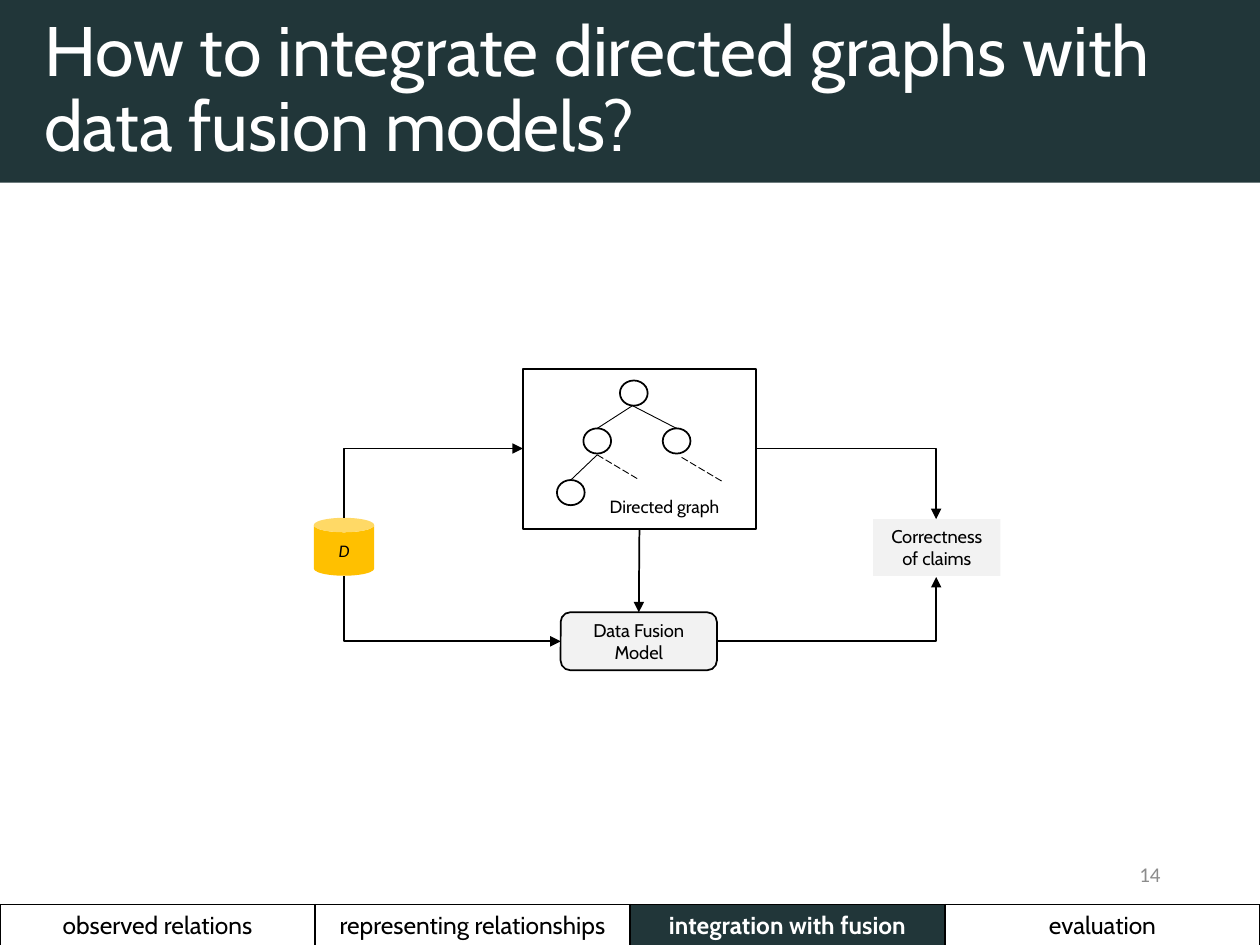
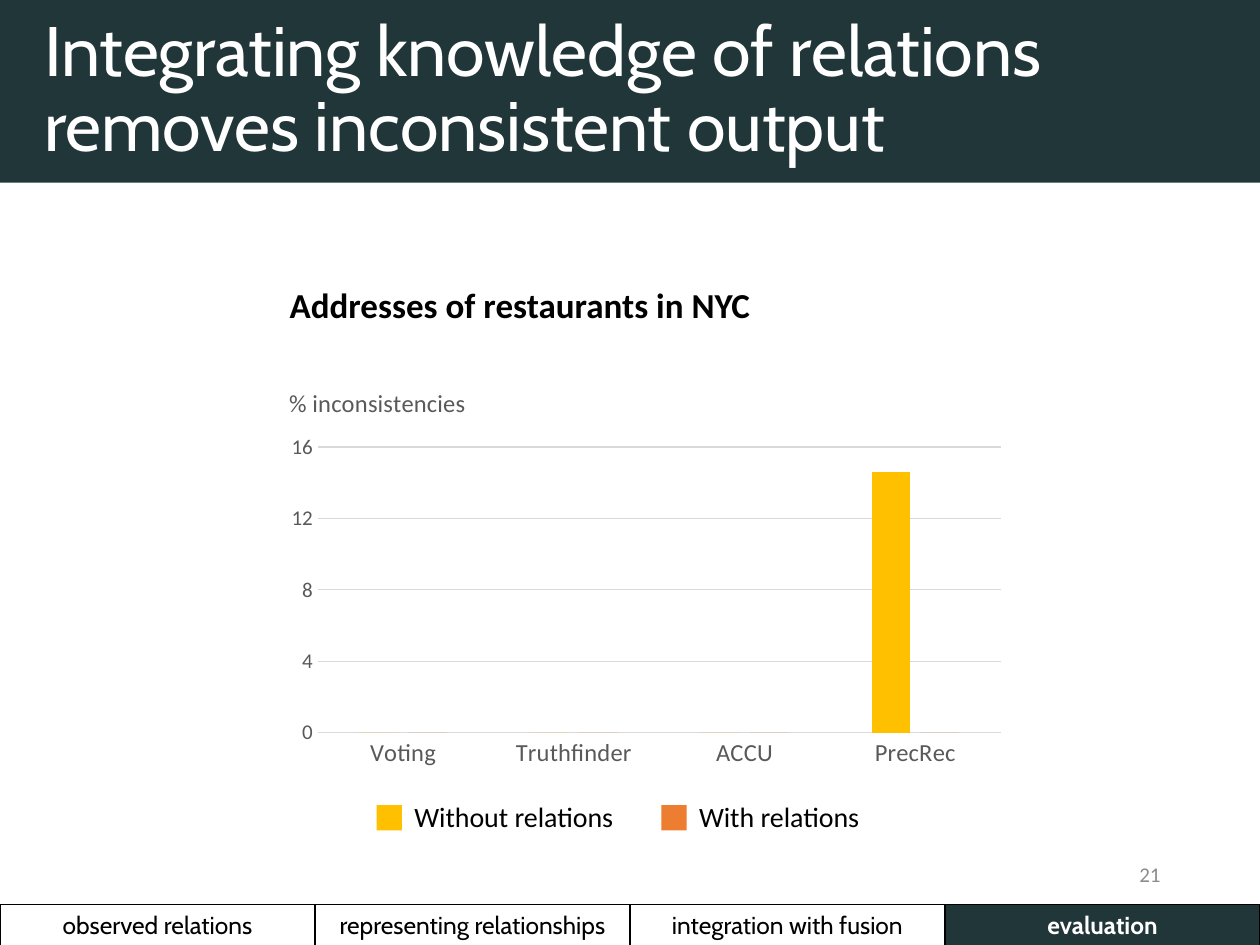
"""Builds two slides on combining directed graphs with data fusion."""
from lxml.etree import SubElement
from pptx import Presentation
from pptx.chart.data import CategoryChartData
from pptx.dml.color import RGBColor
from pptx.enum.chart import XL_CHART_TYPE, XL_TICK_MARK
from pptx.enum.dml import MSO_LINE
from pptx.enum.shapes import MSO_CONNECTOR, MSO_SHAPE
from pptx.enum.text import MSO_ANCHOR, MSO_AUTO_SIZE, PP_ALIGN
from pptx.oxml import parse_xml
from pptx.oxml.ns import nsdecls, qn
from pptx.util import Inches, Pt

DARK, WHITE, BLACK, GOLD = "213639", "FFFFFF", "000000", "FFC000"
ORANGE, PALE, GRID, GREY = "ED7D31", "F2F2F2", "D9D9D9", "595959"
SECTIONS = ["observed relations", "representing relationships",
            "integration with fusion", "evaluation"]


def color(value):
    return RGBColor.from_string(value)


def style_font(font, size, shade, name, bold=False, italic=False):
    font.size, font.name, font.bold, font.italic = Pt(size), name, bold, italic
    font.color.rgb = color(shade)


def place(element, left, top, width=None, height=None):
    old = element.find(qn("c:layout"))
    if old is not None:
        element.remove(old)
    layout = parse_xml(f"<c:layout {nsdecls('c')}><c:manualLayout/></c:layout>")
    settings = [("xMode", "edge"), ("yMode", "edge"), ("x", left), ("y", top)]
    if width:
        settings = [("layoutTarget", "inner"), *settings, ("w", width), ("h", height)]
    for tag, value in settings:
        SubElement(layout[0], qn(f"c:{tag}")).set("val", str(value))
    text = element.find(qn("c:tx"))
    element.insert(0 if text is None else element.index(text) + 1, layout)


class Deck:
    def __init__(self):
        self.presentation = Presentation()
        self.presentation.slide_width = Inches(10)
        self.presentation.slide_height = Inches(7.5)
        self.slide = None

    def start(self, title, number, section):
        layout = self.presentation.slide_layouts[5]
        self.slide = self.presentation.slides.add_slide(layout)
        self.title(title)
        self.text(number, (7.06, 6.74, 2.25, 0.4), 12, "8C8C8C", align=PP_ALIGN.RIGHT,
                  anchor=MSO_ANCHOR.MIDDLE, wrap=True)
        self.navigation(section)

    def add_words(self, frame, words, size, shade=BLACK, name="Cabin",
                  align=PP_ALIGN.LEFT, anchor=MSO_ANCHOR.TOP, bold=False, italic=False):
        frame.vertical_anchor = anchor
        paragraph = frame.paragraphs[0]
        paragraph.alignment = align
        run = paragraph.add_run()
        run.text = words
        style_font(run.font, size, shade, name, bold, italic)
        return paragraph

    def title(self, words):
        shape = self.slide.shapes.title
        shape.left, shape.top = Inches(0), Inches(0)
        shape.width, shape.height = Inches(10), Inches(1.45)
        shape.fill.solid()
        shape.fill.fore_color.rgb = color(DARK)
        frame = shape.text_frame
        frame.auto_size, frame.word_wrap = MSO_AUTO_SIZE.NONE, True
        paragraph = self.add_words(frame, words, 40, WHITE, anchor=MSO_ANCHOR.MIDDLE)
        paragraph.line_spacing = 0.9
        paragraph._p.get_or_add_pPr().set("marL", str(Inches(0.25)))

    def text(self, words, box, size, shade=BLACK, name="Calibri", wrap=False, **style):
        frame = self.slide.shapes.add_textbox(*map(Inches, box)).text_frame
        frame.word_wrap = wrap
        frame.auto_size = MSO_AUTO_SIZE.NONE if wrap else MSO_AUTO_SIZE.SHAPE_TO_FIT_TEXT
        self.add_words(frame, words, size, shade, name, **style)

    def shape(self, kind, box, fill=None, outlined=False):
        shape = self.slide.shapes.add_shape(kind, *map(Inches, box))
        shape.shadow.inherit = False
        if fill:
            shape.fill.solid()
            shape.fill.fore_color.rgb = color(fill)
        else:
            shape.fill.background()
        if outlined:
            shape.line.color.rgb = color(BLACK)
            shape.line.width = Pt(1)
        else:
            shape.line.fill.background()
        return shape

    def label(self, shape, words, size, anchor=MSO_ANCHOR.MIDDLE, **style):
        shape.text_frame.word_wrap = True
        self.add_words(shape.text_frame, words, size, align=PP_ALIGN.CENTER,
                       anchor=anchor, **style)

    def line(self, start, end, width=0.5, dashed=False, arrow=None, bent=False):
        kind = MSO_CONNECTOR.ELBOW if bent else MSO_CONNECTOR.STRAIGHT
        connector = self.slide.shapes.add_connector(kind, *map(Inches, (*start, *end)))
        connector.line.color.rgb = color(BLACK)
        connector.line.width = Pt(width)
        if dashed:
            connector.line.dash_style = MSO_LINE.LONG_DASH
        properties = connector._element.spPr
        if bent:
            properties.find(qn("a:prstGeom")).set("prst", "bentConnector2")
        if arrow:
            outline = properties.find(qn("a:ln"))
            SubElement(outline, qn(f"a:{arrow}")).set("type", "triangle")
        SubElement(properties, qn("a:effectLst"))
        return connector

    def navigation(self, current):
        box = map(Inches, (0, 7.18, 10, 0.33))
        table = self.slide.shapes.add_table(1, len(SECTIONS), *box).table
        table.first_row = table.horz_banding = False
        for cell, section in zip(table.rows[0].cells, SECTIONS):
            active = section == current
            self.add_words(cell.text_frame, section, 14, WHITE if active else BLACK,
                           align=PP_ALIGN.CENTER, bold=active)
            properties = cell._tc.get_or_add_tcPr()
            for side in "LRTB":
                properties.append(parse_xml(
                    f'<a:ln{side} {nsdecls("a")} w="{Pt(1)}"><a:solidFill>'
                    f'<a:srgbClr val="{BLACK}"/></a:solidFill></a:ln{side}>'))
            cell.fill.solid()
            cell.fill.fore_color.rgb = color(DARK if active else WHITE)

    def column_chart(self, box, title, categories, series):
        data = CategoryChartData()
        data.categories = categories
        for name, values, _ in series:
            data.add_series(name, values)
        chart = self.slide.shapes.add_chart(
            XL_CHART_TYPE.COLUMN_CLUSTERED, *map(Inches, box), data).chart
        style_font(chart.font, 10, BLACK, "Calibri")
        chart.has_legend = False
        chart.has_title = True
        self.add_words(chart.chart_title.text_frame, title, 14, GREY, "Calibri")
        place(chart.chart_title._element, 0.01, 0.04)
        place(chart._chartSpace.find(f".//{qn('c:plotArea')}"), 0.055, 0.2, 0.925, 0.7)
        plot = chart.plots[0]
        plot.gap_width, plot.overlap, plot.vary_by_categories = 219, -27, False
        for column, (_, _, shade) in zip(plot.series, series):
            column.format.fill.solid()
            column.format.fill.fore_color.rgb = color(shade)
        for axis, size in ((chart.category_axis, 14), (chart.value_axis, 12)):
            axis.major_tick_mark = axis.minor_tick_mark = XL_TICK_MARK.NONE
            style_font(axis.tick_labels.font, size, GREY, "Calibri")
        value_axis = chart.value_axis
        value_axis.minimum_scale, value_axis.maximum_scale = 0, 16
        value_axis.major_unit = 4
        value_axis.format.line.fill.background()
        for target in (chart.category_axis, value_axis.major_gridlines):
            target.format.line.color.rgb = color(GRID)
            target.format.line.width = Pt(0.75)


def fusion_slide(deck):
    deck.start("How to integrate directed graphs with data fusion models?", "14",
               "integration with fusion")
    for left, top in ((4.92, 3.02), (4.63, 3.4), (5.26, 3.4), (4.42, 3.81)):
        deck.shape(MSO_SHAPE.OVAL, (left, top, 0.22, 0.2), WHITE, True)
    root, branch = (5.02, 3.22), (4.74, 3.61)
    deck.line((4.74, 3.4), root)
    deck.line((4.53, 3.81), branch)
    deck.line(root, (5.37, 3.4))
    deck.line(branch, (5.06, 3.8), dashed=True)
    deck.line((5.41, 3.63), (5.73, 3.82), dashed=True)

    graph = deck.shape(MSO_SHAPE.RECTANGLE, (4.15, 2.93, 1.85, 1.27), outlined=True)
    deck.text("Directed graph", (4.74, 3.89, 1.09, 0.27), 10.1, name="Cabin")
    database = deck.shape(MSO_SHAPE.CAN, (2.49, 4.11, 0.48, 0.46), GOLD)
    deck.label(database, "D", 10.1, name="Calibri", italic=True)
    model = deck.shape(MSO_SHAPE.ROUNDED_RECTANGLE, (4.45, 4.86, 1.24, 0.46), PALE, True)
    deck.label(model, "Data Fusion Model", 10.5)
    claims = deck.shape(MSO_SHAPE.RECTANGLE, (6.93, 4.12, 1.01, 0.45), PALE)
    deck.label(claims, "Correctness of claims", 10.5, MSO_ANCHOR.TOP)

    link = deck.line((5.07, 4.2), (5.07, 4.86), 1, arrow="tailEnd")
    link.begin_connect(graph, 2)
    link.end_connect(model, 0)
    for start, end, arrow in (((4.15, 3.56), (2.73, 4.11), "headEnd"),
                              ((4.45, 5.09), (2.73, 4.57), "headEnd"),
                              ((6, 3.56), (7.43, 4.12), "tailEnd"),
                              ((5.69, 5.09), (7.43, 4.58), "tailEnd")):
        deck.line(start, end, 1, arrow=arrow, bent=True)


def evaluation_slide(deck):
    deck.start("Integrating knowledge of relations removes inconsistent output", "21",
               "evaluation")
    deck.column_chart((2.2, 2.9, 5.86, 3.24), "% inconsistencies",
                      ["Voting", "Truthfinder", "ACCU", "PrecRec"],
                      [("Series 1", (0, 0, 0, 14.6), GOLD),
                       ("Series 2", (0, 0, 0, 0), ORANGE)])
    deck.text("Addresses of restaurants in NYC", (2.2, 2.2, 4, 0.44), 20, bold=True)
    for words, left, width, shade in (("Without relations", 2.99, 1.81, GOLD),
                                      ("With relations", 5.25, 1.5, ORANGE)):
        deck.shape(MSO_SHAPE.RECTANGLE, (left, 6.39, 0.2, 0.2), shade)
        deck.text(words, (left + 0.2, 6.3, width, 0.37), 16)


def main():
    deck = Deck()
    fusion_slide(deck)
    evaluation_slide(deck)
    deck.presentation.save("out.pptx")


if __name__ == "__main__":
    main()
